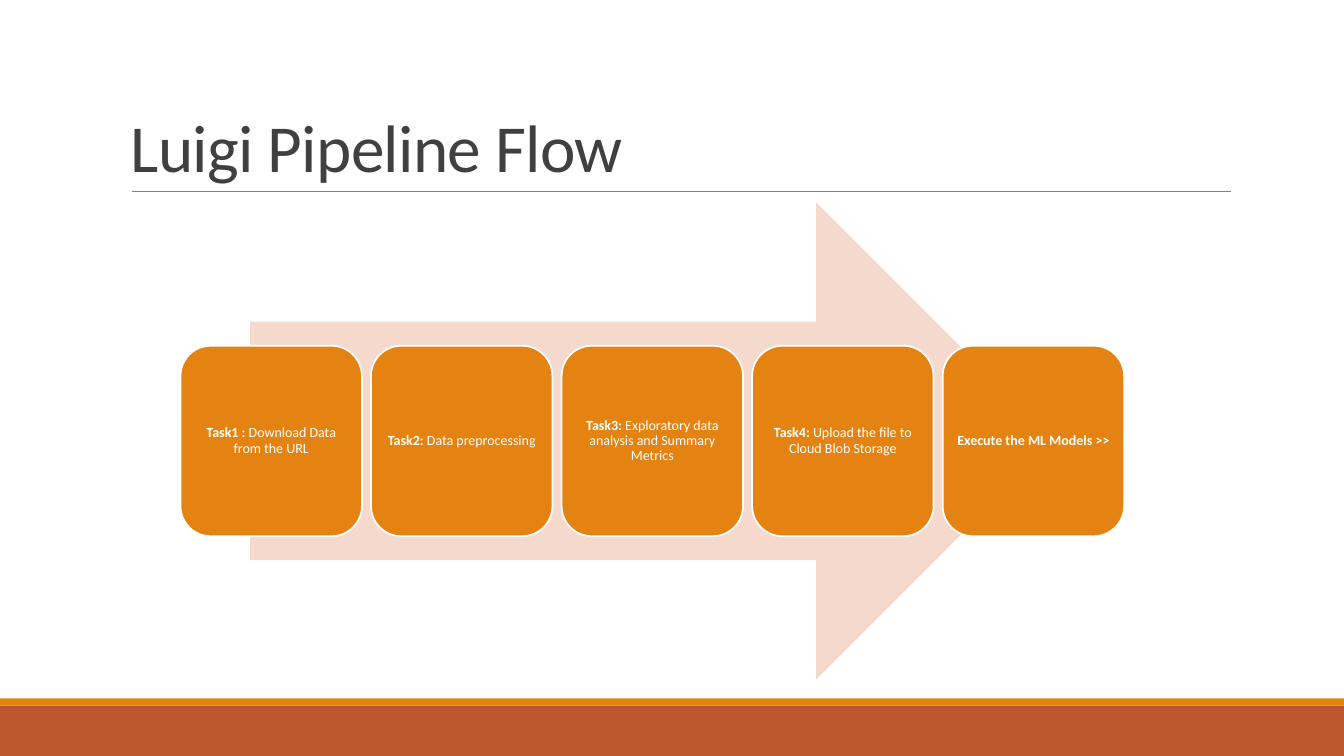
from lxml import etree
from pptx import Presentation
from pptx.dml.color import RGBColor
from pptx.enum import shapes, text
from pptx.oxml import ns
from pptx.util import Inches, Pt

FONT = "Calibri"
WHITE = RGBColor(0xFF, 0xFF, 0xFF)
ORANGE = RGBColor(0xE4, 0x83, 0x12)
RUST = RGBColor(0xBD, 0x58, 0x2C)
BLUSH = RGBColor(0xF5, 0xD9, 0xCC)
GRAY = RGBColor(0x80, 0x80, 0x80)
CHARCOAL = RGBColor(0x40, 0x40, 0x40)

# Bold label and plain description of each step
STEPS = [
    ("Task1 :", " Download Data from the URL"),
    ("Task2:", " Data preprocessing"),
    ("Task3:", " Exploratory data analysis and Summary Metrics"),
    ("Task4:", " Upload the file to Cloud Blob Storage"),
    ("Execute the ML Models >>", ""),
]


def add_filled(page, kind, left, top, width, height, color):
    """Add a preset shape with a flat fill and no outline; lengths in inches."""
    shape = page.shapes.add_shape(
        kind, Inches(left), Inches(top), Inches(width), Inches(height))
    shape.shadow.inherit = False
    shape.fill.solid()
    shape.fill.fore_color.rgb = color
    shape.line.fill.background()
    return shape


def add_span(para, words, size, color, bold=False):
    span = para.add_run()
    span.text = words
    span.font.name = FONT
    span.font.size = Pt(size)
    span.font.bold = bold
    span.font.color.rgb = color
    return span


def add_footer(page, left, top, width, height):
    """Draw a thin orange stripe above a rust band."""
    stripe = 0.07
    rectangle = shapes.MSO_SHAPE.RECTANGLE
    add_filled(page, rectangle, left, top + stripe, width, height - stripe, RUST)
    add_filled(page, rectangle, left, top, width, stripe, ORANGE)


def add_title(page, left, top, width, height):
    """Set the title at the bottom of its box, with a rule underneath."""
    rule_y = Inches(top + height)
    rule = page.shapes.add_connector(
        shapes.MSO_CONNECTOR.STRAIGHT,
        Inches(left + 0.11), rule_y, Inches(left + width + 0.01), rule_y)
    rule.line.color.rgb = GRAY
    rule.line.width = Pt(0.5)
    etree.SubElement(rule._element.spPr, ns.qn("a:effectLst"))

    box = page.shapes.add_textbox(
        Inches(left), Inches(top), Inches(width), Inches(height))
    frame = box.text_frame
    frame.word_wrap = True
    frame.vertical_anchor = text.MSO_ANCHOR.BOTTOM
    para = frame.paragraphs[0]
    para.line_spacing = 0.85
    span = add_span(para, "Luigi Pipeline Flow", 48, CHARCOAL)
    span._r.get_or_add_rPr().set("spc", "-50")


def add_step(page, left, top, width, height, label, description):
    card = add_filled(page, shapes.MSO_SHAPE.ROUNDED_RECTANGLE,
                      left, top, width, height, ORANGE)
    card.line.color.rgb = WHITE
    card.line.width = Pt(1.25)
    frame = card.text_frame
    frame.word_wrap = True
    frame.vertical_anchor = text.MSO_ANCHOR.MIDDLE
    frame.margin_left = frame.margin_right = Inches(0.04)
    frame.margin_top = frame.margin_bottom = Inches(0.04)
    para = frame.paragraphs[0]
    para.alignment = text.PP_ALIGN.CENTER
    para.line_spacing = 0.9
    add_span(para, label, 10, WHITE, bold=True)
    if description:
        add_span(para, description, 10, WHITE)


def add_pipeline(page, left, top, width, height):
    """Lay evenly spaced step cards over a wide arrow."""
    arrow_inset = 0.69
    add_filled(page, shapes.MSO_SHAPE.RIGHT_ARROW, left + arrow_inset, top,
               width - 2 * arrow_inset, height, BLUSH)
    card_width, card_height = 1.8, 1.89
    pitch = (width - card_width) / (len(STEPS) - 1)
    card_top = top + (height - card_height) / 2
    for index, (label, description) in enumerate(STEPS):
        add_step(page, left + index * pitch, card_top, card_width, card_height,
                 label, description)


def main():
    deck = Presentation()
    deck.slide_width, deck.slide_height = Inches(13.33), Inches(7.5)
    page = deck.slides.add_slide(deck.slide_layouts[6])
    add_footer(page, 0, 6.93, 13.33, 0.57)
    add_title(page, 1.2, 0.31, 11, 1.59)
    add_pipeline(page, 1.79, 2.01, 9.36, 4.73)
    deck.save("out.pptx")


if __name__ == "__main__":
    main()
